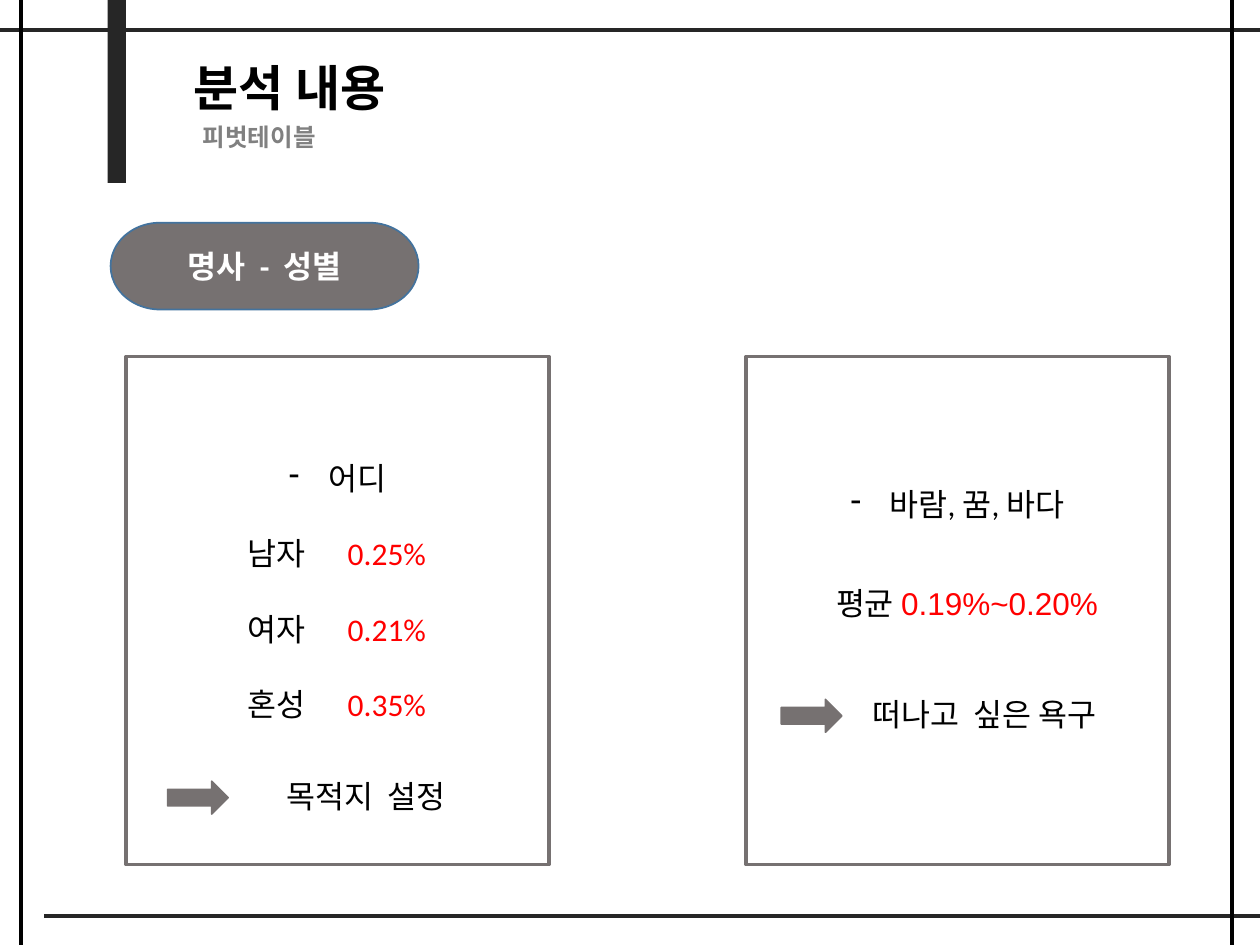
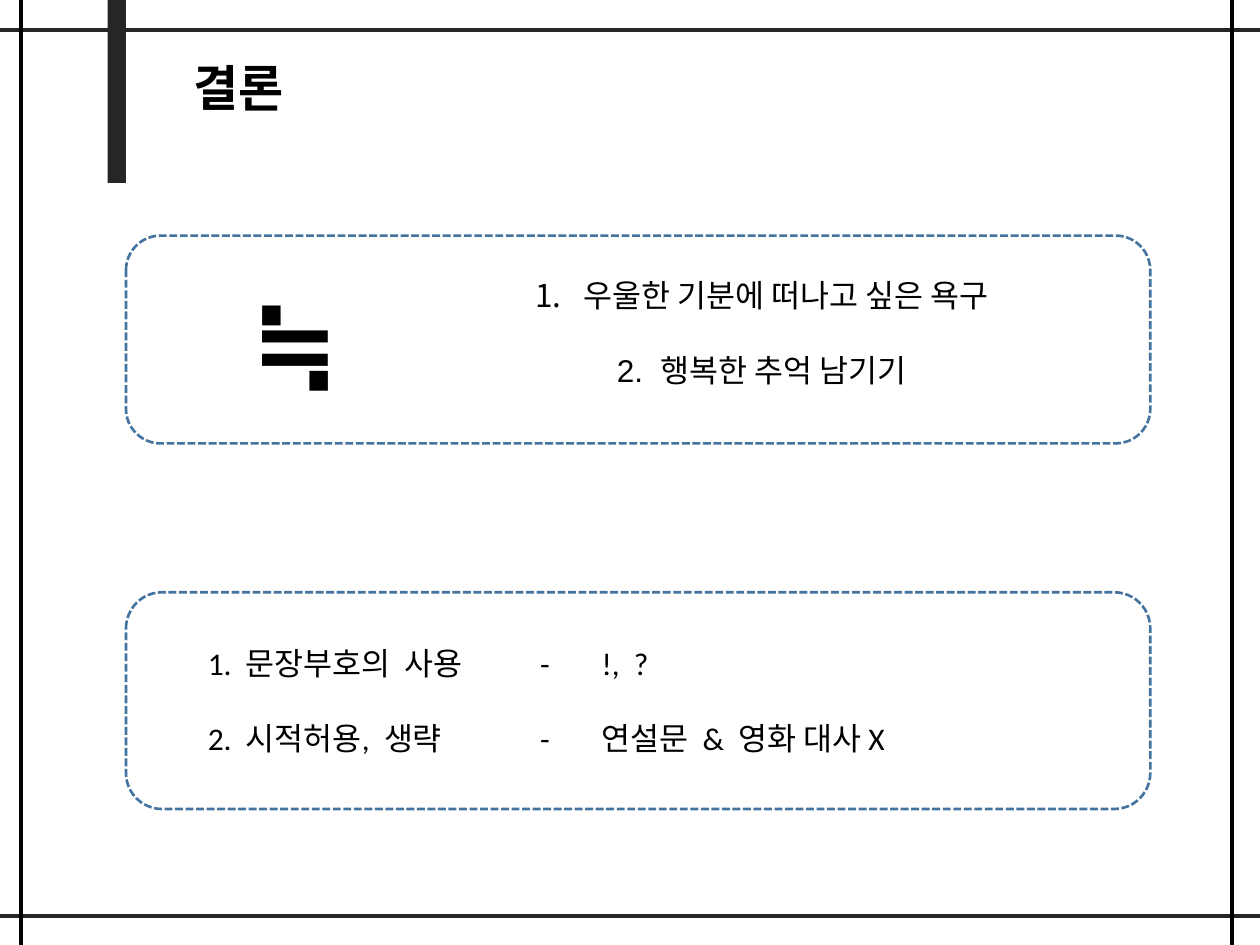
from lxml.etree import SubElement
from pptx import Presentation
from pptx.dml.color import RGBColor
from pptx.enum.dml import MSO_LINE
from pptx.enum.shapes import MSO_CONNECTOR, MSO_SHAPE
from pptx.enum.text import MSO_ANCHOR, MSO_AUTO_SIZE, PP_ALIGN
from pptx.oxml.ns import qn
from pptx.util import Cm, Pt

BLACK = RGBColor(0x00, 0x00, 0x00)
WHITE = RGBColor(0xFF, 0xFF, 0xFF)
DARK = RGBColor(0x26, 0x26, 0x26)
GRAY = RGBColor(0x76, 0x71, 0x71)
SUBTITLE_GRAY = RGBColor(0x80, 0x80, 0x80)
BLUE = RGBColor(0x43, 0x73, 0x9E)
RED = RGBColor(0xFF, 0x00, 0x00)

SLIDE_WIDTH, SLIDE_HEIGHT = 25.4, 19.05
LINE_GAP = 21.5
BULLET_INDENT = 0.79
NUMBER_INDENT = 0.97


def add_block(slide, preset, left, top, width, height, fill=None, line=None, line_width=1):
    """Add a preset shape, or a text box that fits its text when preset is None."""
    box = Cm(left), Cm(top), Cm(width), Cm(height)
    if preset is None:
        shape = slide.shapes.add_textbox(*box)
        shape.text_frame.auto_size = MSO_AUTO_SIZE.SHAPE_TO_FIT_TEXT
        return shape
    shape = slide.shapes.add_shape(preset, *box)
    shape.shadow.inherit = False
    if fill is None:
        shape.fill.background()
    else:
        shape.fill.solid()
        shape.fill.fore_color.rgb = fill
    if line is None:
        shape.line.fill.background()
    else:
        shape.line.color.rgb = line
        shape.line.width = Pt(line_width)
    return shape


def add_text_line(shape, runs, size=18, font="Calibri", bold=False, align=PP_ALIGN.CENTER,
                  gap=0, indent=0, bullet=None, tabs=()):
    """Add one paragraph of (text, colour) runs; bullet is a (tag, attribute, value) triple."""
    frame = shape.text_frame
    paragraph = frame.paragraphs[0]
    if paragraph.runs:
        paragraph = frame.add_paragraph()
    paragraph.alignment = align
    paragraph.space_before = Pt(gap)
    properties = paragraph._p.get_or_add_pPr()
    properties.set("marL", str(Cm(indent)))
    if bullet:
        tag, attribute, value = bullet
        properties.set("indent", str(-Cm(indent)))
        SubElement(properties, qn(tag)).set(attribute, value)
    if tabs:
        tab_list = SubElement(properties, qn("a:tabLst"))
        for position in tabs:
            tab = SubElement(tab_list, qn("a:tab"))
            tab.set("pos", str(Cm(position)))
            tab.set("algn", "l")
    for text, color in runs:
        run = paragraph.add_run()
        run.text = text
        run.font.size = Pt(size)
        run.font.name = font
        run.font.bold = bold
        run.font.color.rgb = color


presentation = Presentation()
presentation.slide_width = Cm(SLIDE_WIDTH)
presentation.slide_height = Cm(SLIDE_HEIGHT)

# Shared frame and title: title, title width, start of the bottom line
slides = []
for title, title_width, bottom_start in (("분석 내용", 4.72, 0.89), ("결론", 2.51, 0)):
    slide = presentation.slides.add_slide(presentation.slide_layouts[6])
    slides.append(slide)
    frame_lines = (
        (0, 0.61, SLIDE_WIDTH, 0.61, DARK),
        (bottom_start, 18.47, bottom_start + SLIDE_WIDTH, 18.47, DARK),
        (0.43, 0, 0.43, SLIDE_HEIGHT, BLACK),
        (24.84, 0, 24.84, SLIDE_HEIGHT, BLACK),
    )
    for *ends, color in frame_lines:
        connector = slide.shapes.add_connector(MSO_CONNECTOR.STRAIGHT, *map(Cm, ends))
        connector.line.color.rgb = color
        connector.line.width = Pt(2.25)
        SubElement(connector._element.spPr, qn("a:effectLst"))
    add_block(slide, MSO_SHAPE.RECTANGLE, 2.17, 0, 0.37, 3.69, DARK)
    title_box = add_block(slide, None, 3.66, 1.04, title_width, 1.45)
    title_box.text_frame.word_wrap = False
    add_text_line(title_box, [(title, BLACK)], 28, bold=True, align=PP_ALIGN.LEFT)

analysis, conclusion = slides

# Analysis: subtitle, topic pill and two result panels
subtitle = add_block(analysis, None, 3.84, 2.34, 3.0, 0.86)
subtitle.text_frame.word_wrap = False
add_text_line(subtitle, [("피벗테이블", SUBTITLE_GRAY)], 14, "Arial", True, PP_ALIGN.LEFT)

topic = add_block(analysis, MSO_SHAPE.FLOWCHART_TERMINATOR, 2.23, 4.49, 6.21, 1.75, GRAY, BLUE)
topic.text_frame.vertical_anchor = MSO_ANCHOR.MIDDLE
add_text_line(topic, [("명사  -  성별", WHITE)], bold=True)

panels = []
for left, text_top in ((2.54, 2.06), (15.04, 2.59)):
    panel = add_block(analysis, MSO_SHAPE.RECTANGLE, left, 7.19, 8.53, 10.24, None, GRAY, 2)
    panel.text_frame.vertical_anchor = MSO_ANCHOR.TOP
    panel.text_frame.margin_top = Cm(text_top)
    panels.append(panel)
where_panel, wish_panel = panels

dash = ("a:buChar", "char", "-")
add_text_line(where_panel, [("어디", BLACK)], indent=BULLET_INDENT, bullet=dash)
for group, share in (("남자", "0.25%"), ("여자", "0.21%"), ("혼성", "0.35%")):
    add_text_line(where_panel, [(f"\t{group}\t", BLACK), (share, RED)],
                  align=PP_ALIGN.LEFT, gap=LINE_GAP, tabs=(2.2, 4.22))

add_text_line(wish_panel, [("바람, 꿈, 바다", BLACK)], indent=BULLET_INDENT, bullet=dash)
add_text_line(wish_panel, [("평균 ", BLACK), ("0.19%~0.20%", RED)], font="Arial",
              gap=35, indent=0.38)
add_text_line(wish_panel, [("떠나고  싶은 욕구", BLACK)], gap=42, indent=1.07)

for left, top in ((3.38, 15.75), (15.75, 14.1)):
    add_block(analysis, MSO_SHAPE.RIGHT_ARROW, left, top, 1.22, 0.66, GRAY, GRAY)
destination = add_block(analysis, None, 4.34, 15.54, 6.07, 1.02)
destination.text_frame.word_wrap = True
add_text_line(destination, [("목적지  설정", BLACK)])

# Conclusion: two dashed panels
for top, height in ((4.75, 4.19), (11.94, 4.37)):
    panel = add_block(conclusion, MSO_SHAPE.FLOWCHART_ALTERNATE_PROCESS,
                      2.54, top, 20.65, height, None, BLUE, 1.5)
    panel.line.dash_style = MSO_LINE.SQUARE_DOT

symbol = add_block(conclusion, None, 4.83, 5.44, 2.64, 2.82)
symbol.text_frame.word_wrap = False
add_text_line(symbol, [("≒", BLACK)], 60, bold=True, align=PP_ALIGN.LEFT)

wishes = add_block(conclusion, None, 9.02, 5.44, 12.67, 3.33)
wishes.text_frame.word_wrap = True
add_text_line(wishes, [("우울한 기분에 떠나고 싶은 욕구", BLACK)], font="Arial",
              indent=NUMBER_INDENT, bullet=("a:buAutoNum", "type", "arabicPeriod"))
add_text_line(wishes, [("2.  행복한 추억 남기기", BLACK)], font="Arial", gap=LINE_GAP)

limits = add_block(conclusion, None, 3.94, 12.85, 17.07, 2.57)
limits.text_frame.word_wrap = True
for text, gap in (("1.  문장부호의  사용\t-\t!,  ?", 0),
                  ("2.  시적허용,  생략\t-\t연설문  &  영화 대사 X", LINE_GAP)):
    add_text_line(limits, [(text, BLACK)], align=PP_ALIGN.LEFT, gap=gap, tabs=(6.7, 7.94))

presentation.save("out.pptx")
